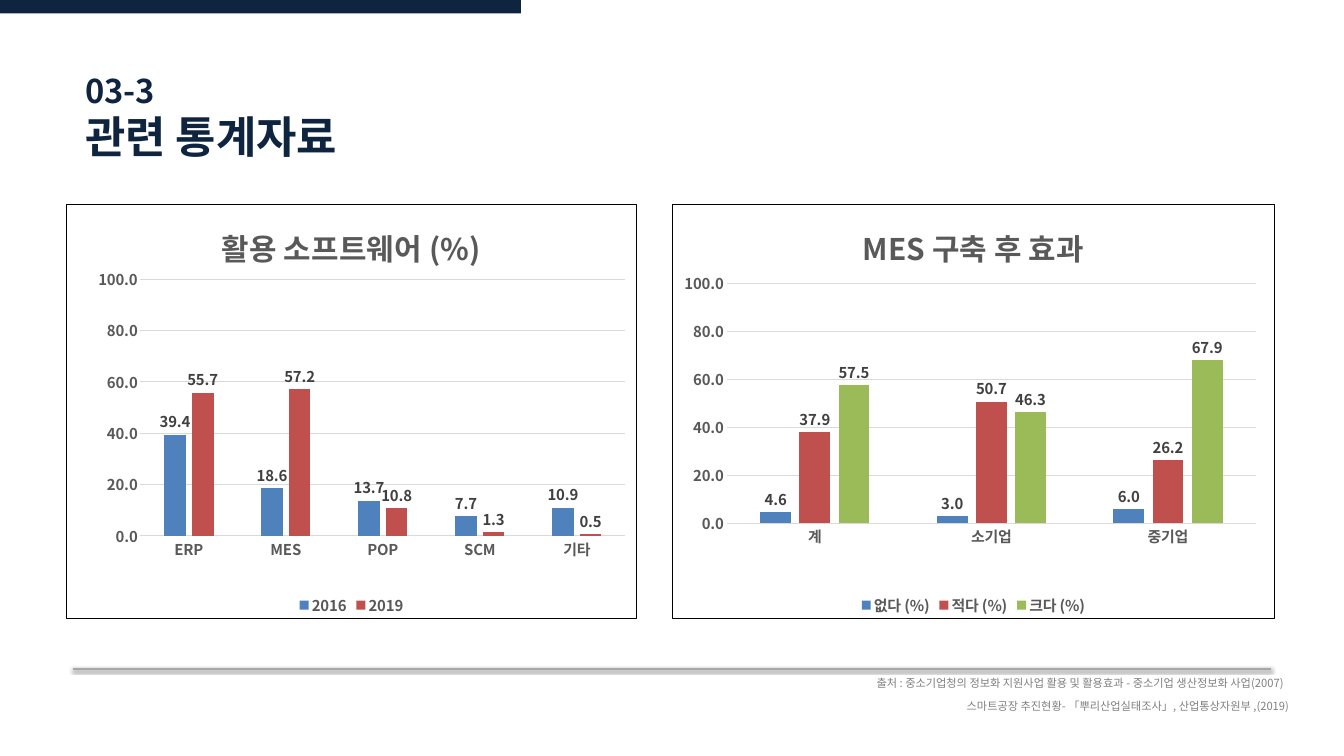
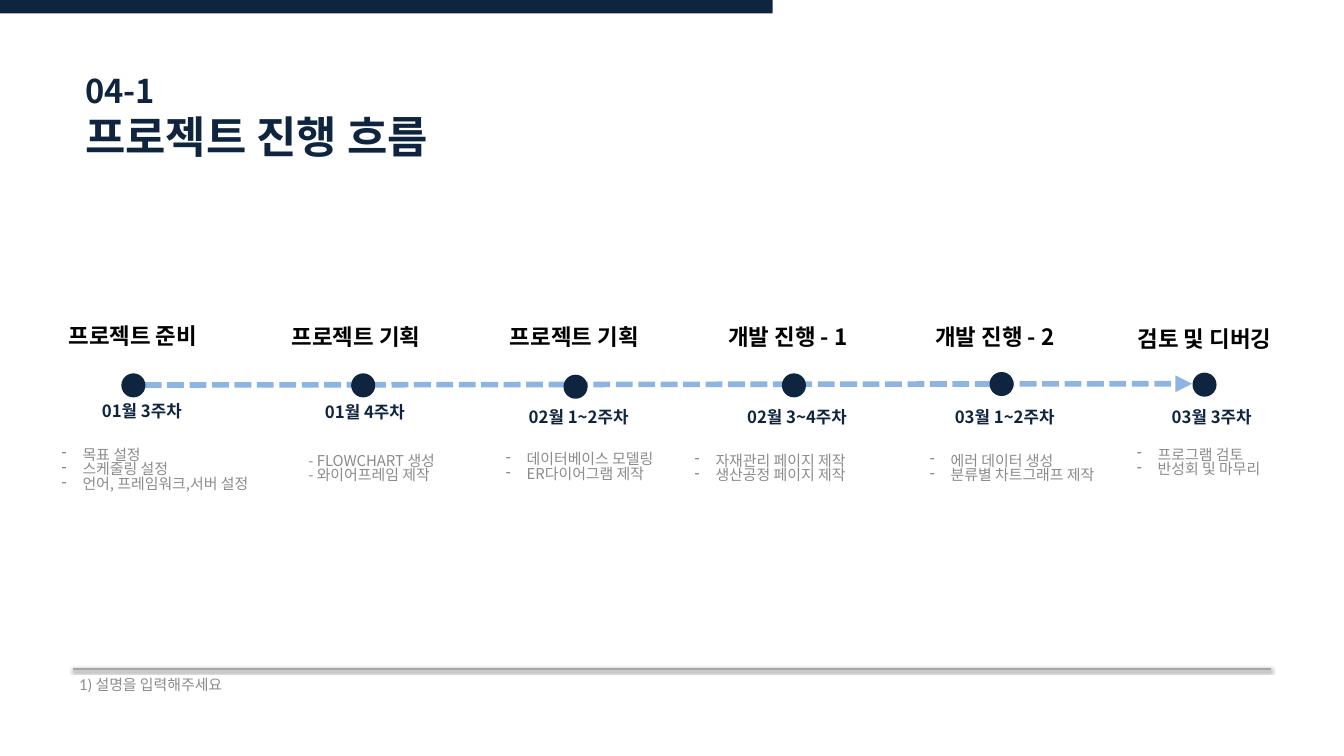
from dataclasses import dataclass

from pptx import Presentation
from pptx import util as u
from pptx.chart.data import CategoryChartData
from pptx.dml.color import RGBColor
from pptx.enum import chart as ch, dml, shapes, text
from pptx.oxml import parse_xml
from pptx.oxml.ns import nsdecls, qn

COLUMNS, ROWS = 20, 11.25
CELL = u.Inches(1)

NAVY = RGBColor(0x0F, 0x24, 0x3E)
BLACK = RGBColor(0, 0, 0)
RULE_GRAY = RGBColor(0xA6, 0xA6, 0xA6)
SOURCE_GRAY = RGBColor(0x80, 0x80, 0x80)
TASK_GRAY = RGBColor(0x8B, 0x8B, 0x8B)
AXIS_GRAY = RGBColor(0x59, 0x59, 0x59)
LABEL_GRAY = RGBColor(0x40, 0x40, 0x40)
GRID_GRAY = RGBColor(0xD9, 0xD9, 0xD9)
ARROW_BLUE = RGBColor(0x8E, 0xB4, 0xE3)
SERIES_COLORS = (RGBColor(0x4F, 0x81, 0xBD), RGBColor(0xC0, 0x50, 0x4D),
                 RGBColor(0x9B, 0xBB, 0x59))

KOREAN = "Noto Sans CJK KR"
LATIN = "Lato"
LINE_SPACING, LIST_SPACING = 0.88, 0.83
NUMBER_FORMAT = "#,##0.0"
LEFT, RIGHT = text.PP_ALIGN.LEFT, text.PP_ALIGN.RIGHT
CENTER = text.PP_ALIGN.CENTER

MARGIN, RULE_ROW = 1.08, 9.96
ARROW_ROW, DOT_SIZE = 5.72, 0.33


@dataclass
class Step:
    title: str
    date: str
    tasks: tuple
    title_at: tuple
    dot_at: tuple
    date_at: tuple
    tasks_at: tuple
    bullets: bool = True


STEPS = (
    Step("프로젝트 준비", "01월 3주차",
         ("목표 설정", "스케줄링 설정", "언어, 프레임워크,서버 설정"),
         (0.92, 4.79), (1.82, 5.57), (1.07, 5.96, 2.08), (0.82, 6.62, 3.75)),
    Step("프로젝트 기획", "01월 4주차",
         ("- FLOWCHART 생성", "- 와이어프레임 제작"),
         (4.24, 4.81), (5.24, 5.57), (4.39, 5.97, 2.08), (4.49, 6.71, 2.33), False),
    Step("프로젝트 기획", "02월 1~2주차",
         ("데이터베이스 모델링", "ER다이어그램 제작"),
         (7.49, 4.81), (8.4, 5.59), (7.4, 6.04, 2.42), (7.43, 6.69, 3.17)),
    Step("개발 진행 - 1", "02월 3~4주차",
         ("자재관리 페이지 제작", "생산공정 페이지 제작"),
         (10.74, 4.81), (11.65, 5.57), (10.65, 6.04, 2.42), (10.24, 6.71, 3.83)),
    Step("개발 진행 - 2", "03월 1~2주차",
         ("에러 데이터 생성", "분류별 차트그래프 제작"),
         (13.82, 4.81), (14.74, 5.55), (13.74, 6.04, 2.42), (13.74, 6.71, 3.17)),
    Step("검토 및 디버깅", "03월 3주차",
         ("프로그램 검토", "반성회 및 마무리"),
         (16.83, 4.84), (17.76, 5.56), (16.99, 6.04, 2.08), (16.82, 6.62, 3.17)),
)


def grid(*cells):
    return [round(cell * CELL) for cell in cells]


def style_font(font, size, color, bold=False, name=KOREAN):
    """Set a font, using the Korean face for East Asian letters."""
    font.size, font.bold, font.name = u.Pt(size), bold, name
    font.color.rgb = color
    latin = font._element.find(qn("a:latin"))
    latin.addnext(parse_xml(f'<a:ea {nsdecls("a")} typeface="{KOREAN}"/>'))


def add_bullet(para):
    properties = para._p.get_or_add_pPr()
    properties.set("marL", str(u.Inches(0.31)))
    properties.set("indent", str(-u.Inches(0.31)))
    properties.append(parse_xml(f'<a:buChar {nsdecls("a")} char="-"/>'))


def add_text(page, at, lines, size, color, bold=False, align=LEFT,
             name=KOREAN, bullets=False):
    box = page.shapes.add_textbox(*grid(*at))
    frame = box.text_frame
    frame.word_wrap = True
    frame.auto_size = text.MSO_AUTO_SIZE.SHAPE_TO_FIT_TEXT
    frame.text = "\n".join(lines)
    for para in frame.paragraphs:
        para.alignment = align
        para.line_spacing = LIST_SPACING if len(lines) > 1 else LINE_SPACING
        if bullets:
            add_bullet(para)
        for span in para.runs:
            style_font(span.font, size, color, bold, name)


def add_shape(page, kind, at, color):
    shape = page.shapes.add_shape(kind, *grid(*at))
    shape.shadow.inherit = False
    shape.fill.solid()
    shape.fill.fore_color.rgb = color
    shape.line.fill.background()
    return shape


def add_line(page, start, end, color, width, effect=""):
    """Draw a line whose only effect is the given XML."""
    line = page.shapes.add_connector(
        shapes.MSO_CONNECTOR.STRAIGHT, *grid(*start, *end))
    line.line.color.rgb = color
    line.line.width = u.Pt(width)
    line._element.spPr.append(
        parse_xml(f'<a:effectLst {nsdecls("a")}>{effect}</a:effectLst>'))
    return line


def add_frame(page, number, title, progress):
    """Add the progress band, the heading and the rule above the footer."""
    add_shape(page, shapes.MSO_SHAPE.RECTANGLE, (0, -0.05, progress, 0.25), NAVY)
    add_text(page, (1.17, 1.08, 3.03, 0.69), [number], 35, NAVY, True)
    add_text(page, (1.17, 1.68, 6.33, 0.89), [title], 47, NAVY, True)
    shadow = (f'<a:outerShdw blurRad="{u.Pt(3.1)}" dist="{u.Pt(1.6)}" dir="5400000"'
              ' rotWithShape="0"><a:srgbClr val="000000"><a:alpha val="38000"/>'
              '</a:srgbClr></a:outerShdw>')
    add_line(page, (MARGIN, RULE_ROW), (COLUMNS - MARGIN, RULE_ROW),
             RULE_GRAY, 2, shadow)


def place_plot(chart, shares):
    """Fix the inner plot area at left, top, width, height shares of the chart."""
    area = chart.element.find(qn("c:chart")).find(qn("c:plotArea"))
    for layout in area.findall(qn("c:layout")):
        area.remove(layout)
    sizes = "".join(f'<c:{tag} val="{share}"/>' for tag, share in zip("xywh", shares))
    area.insert(0, parse_xml(
        f'<c:layout {nsdecls("c")}><c:manualLayout><c:layoutTarget val="inner"/>'
        f'<c:xMode val="edge"/><c:yMode val="edge"/>{sizes}'
        '</c:manualLayout></c:layout>'))


def add_border(chart):
    chart.element.find(qn("c:chart")).addnext(parse_xml(
        f'<c:spPr {nsdecls("c", "a")}><a:noFill/><a:ln w="{u.Pt(0.75)}">'
        f'<a:solidFill><a:srgbClr val="{BLACK}"/></a:solidFill></a:ln></c:spPr>'))


def style_axes(chart):
    for axis in (chart.category_axis, chart.value_axis):
        axis.major_tick_mark = axis.minor_tick_mark = ch.XL_TICK_MARK.NONE
        style_font(axis.tick_labels.font, 16, AXIS_GRAY, True)
    values = chart.value_axis
    values.minimum_scale, values.maximum_scale, values.major_unit = 0, 100, 20
    values.tick_labels.number_format = NUMBER_FORMAT
    values.tick_labels.number_format_is_linked = False
    values.format.line.fill.background()
    for line in (values.major_gridlines.format.line, chart.category_axis.format.line):
        line.color.rgb = GRID_GRAY
        line.width = u.Pt(0.75)


def add_column_chart(page, at, title, categories, series, plot_shares):
    data = CategoryChartData(number_format=NUMBER_FORMAT)
    data.categories = categories
    for name, values in series.items():
        data.add_series(name, values)
    chart = page.shapes.add_chart(
        ch.XL_CHART_TYPE.COLUMN_CLUSTERED, *grid(*at), data).chart
    style_font(chart.font, 16, BLACK, True)
    chart.has_title = True
    heading = chart.chart_title.text_frame
    heading.text = title
    style_font(heading.paragraphs[0].runs[0].font, 32, AXIS_GRAY, True)
    chart.has_legend = True
    chart.legend.position = ch.XL_LEGEND_POSITION.BOTTOM
    chart.legend.include_in_layout = False
    style_font(chart.legend.font, 16, AXIS_GRAY, True)
    style_axes(chart)

    plot = chart.plots[0]
    plot.gap_width, plot.overlap, plot.vary_by_categories = 219, -27, False
    for bars, color in zip(plot.series, SERIES_COLORS):
        bars.format.fill.solid()
        bars.format.fill.fore_color.rgb = color
        bars.invert_if_negative = False
        labels = bars.data_labels
        labels.show_value = True
        labels.position = ch.XL_LABEL_POSITION.OUTSIDE_END
        labels.number_format = NUMBER_FORMAT
        labels.number_format_is_linked = False
        style_font(labels.font, 16, LABEL_GRAY, True)
    place_plot(chart, plot_shares)
    add_border(chart)


def add_statistics(page):
    add_frame(page, "03-3", "관련 통계자료", 7.75)
    add_column_chart(
        page, (10, 3.04, 8.97, 6.17), "MES 구축 후 효과", ("계", "소기업", "중기업"),
        {"없다 (%)": (4.6, 3, 6), "적다 (%)": (37.9, 50.7, 26.2),
         "크다 (%)": (57.5, 46.3, 67.9)},
        (0.09, 0.19, 0.88, 0.58))
    add_column_chart(
        page, (0.98, 3.04, 8.5, 6.17), "활용 소프트웨어 (%)",
        ("ERP", "MES", "POP", "SCM", "기타"),
        {"2016": (39.4, 18.6, 13.7, 7.7, 10.9),
         "2019": (55.7, 57.2, 10.8, 1.3, 0.5)},
        (0.13, 0.18, 0.85, 0.62))
    sources = (
        (11.5, 10.04, "출처 : 중소기업청의 정보화 지원사업 활용 및 활용효과 - "
                      "중소기업 생산정보화 사업(2007)"),
        (11.58, 10.38, "스마트공장 추진현황- 「뿌리산업실태조사」, 산업통상자원부 ,(2019)"),
    )
    for left, top, source in sources:
        add_text(page, (left, top, 7.7, 0.3), [source], 12, SOURCE_GRAY, align=RIGHT)


def add_step(page, step):
    dot = add_shape(page, shapes.MSO_SHAPE.OVAL,
                    (*step.dot_at, DOT_SIZE, DOT_SIZE), NAVY)
    dot.line.color.rgb = NAVY
    dot.line.width = u.Pt(2)
    add_text(page, (*step.title_at, 2.83, 0.5), [step.title], 24, BLACK, True)
    add_text(page, (*step.date_at, 0.4), [step.date], 18, NAVY, True, CENTER)
    height = 0.1 + 0.27 * len(step.tasks)
    add_text(page, (*step.tasks_at, height), step.tasks, 16, TASK_GRAY,
             bullets=step.bullets)


def add_timeline(page):
    add_frame(page, "04-1", "프로젝트 진행 흐름", 11.5)
    add_text(page, (MARGIN, 10.04, 5.53, 0.47), ["1) 설명을 입력해주세요"],
             16, TASK_GRAY, name=LATIN)
    arrow = add_line(page, (1.82, ARROW_ROW + 0.01), (17.74, ARROW_ROW - 0.01),
                     ARROW_BLUE, 6)
    arrow.line.dash_style = dml.MSO_LINE.SQUARE_DOT
    arrow._element.spPr.find(qn("a:ln")).append(
        parse_xml(f'<a:tailEnd {nsdecls("a")} type="triangle"/>'))
    for step in STEPS:
        add_step(page, step)


def main():
    deck = Presentation()
    deck.slide_width, deck.slide_height = grid(COLUMNS, ROWS)
    for fill_page in (add_statistics, add_timeline):
        fill_page(deck.slides.add_slide(deck.slide_layouts[6]))
    deck.save("out.pptx")


if __name__ == "__main__":
    main()
